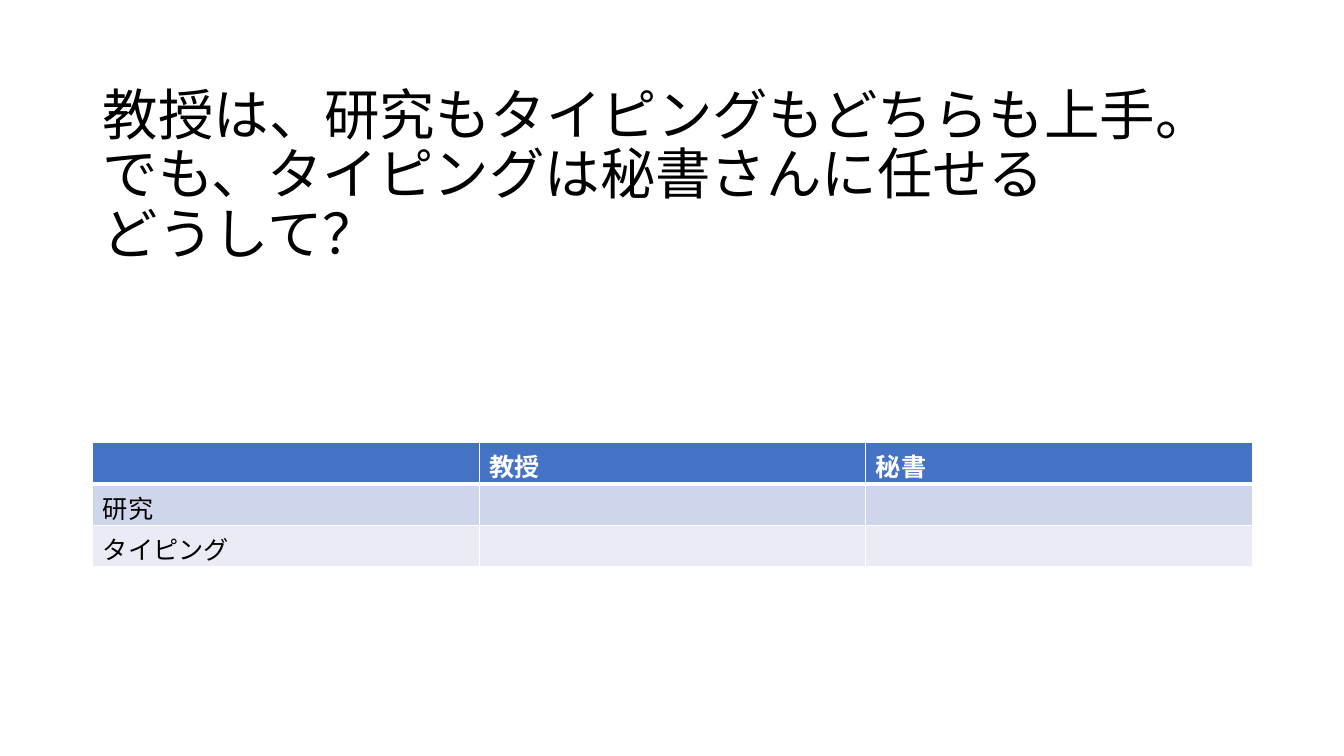
from dataclasses import dataclass

from lxml import etree
from pptx import Presentation
from pptx.dml.color import RGBColor
from pptx.enum.text import MSO_ANCHOR
from pptx.oxml.ns import qn
from pptx.util import Emu, Pt

MIDDLE = MSO_ANCHOR.MIDDLE
EMU_PER_PX = 9144


@dataclass(frozen=True)
class Theme:
    font: str = "Noto Sans CJK JP"
    title_size: float = 39.6
    body_size: float = 18
    black: str = "000000"
    white: str = "FFFFFF"
    header: str = "4472C4"
    band_dark: str = "CFD5EA"
    band_light: str = "E9EBF5"
    rule: float = 1
    header_rule: float = 3


@dataclass(frozen=True)
class Box:
    x: int
    y: int
    w: int
    h: int

    def emu(self) -> tuple:
        return tuple(px(v) for v in (self.x, self.y, self.w, self.h))


@dataclass(frozen=True)
class Row:
    labels: tuple
    fill: str
    color: str
    bold: bool
    top: float
    bottom: float


THEME = Theme()
SLIDE_W, SLIDE_H = 1333, 750
TITLE_BOX = Box(92, 40, 1150, 271)
TABLE_BOX = Box(92, 439, 1150, 123)
TITLE_LINES = (
    "教授は、研究もタイピングもどちらも上手。",
    "でも、タイピングは秘書さんに任せる",
    "どうして？",
)
ROWS = (
    Row(("", "教授", "秘書"), THEME.header, THEME.white, True, THEME.rule, THEME.header_rule),
    Row(("研究", "", ""), THEME.band_dark, THEME.black, False, THEME.header_rule, THEME.rule),
    Row(("タイピング", "", ""), THEME.band_light, THEME.black, False, THEME.rule, THEME.rule),
)


def px(value: int) -> Emu:
    return Emu(value * EMU_PER_PX)


def add_run(p, text: str, size: float, color: str, bold: bool = False) -> None:
    r = p.add_run()
    r.text = text
    for name, value in {"size": Pt(size), "bold": bold, "name": THEME.font}.items():
        setattr(r.font, name, value)
    r.font.color.rgb = RGBColor.from_string(color)
    etree.SubElement(r.font._element, qn("a:ea"), typeface=THEME.font)


def add_title(s, box: Box, lines: tuple) -> None:
    tf = s.shapes.add_textbox(*box.emu()).text_frame
    for name, value in {"word_wrap": True, "vertical_anchor": MIDDLE}.items():
        setattr(tf, name, value)
    p = tf.paragraphs[0]
    p.line_spacing = 0.9
    for i, line in enumerate(lines):
        if i:
            p.add_line_break()
        add_run(p, line, THEME.title_size, THEME.black)


def set_borders(cell, row: Row) -> None:
    tc_pr = cell._tc.get_or_add_tcPr()
    widths = {"L": THEME.rule, "R": THEME.rule, "T": row.top, "B": row.bottom}
    for side, width in widths.items():
        ln = etree.SubElement(tc_pr, qn(f"a:ln{side}"), w=str(Pt(width)))
        fill = etree.SubElement(ln, qn("a:solidFill"))
        etree.SubElement(fill, qn("a:srgbClr"), val=THEME.white)


def add_grid(s, box: Box, rows: tuple) -> None:
    table = s.shapes.add_table(len(rows), len(rows[0].labels), *box.emu()).table
    for i, row in enumerate(rows):
        for j, label in enumerate(row.labels):
            cell = table.cell(i, j)
            set_borders(cell, row)
            cell.fill.solid()
            cell.fill.fore_color.rgb = RGBColor.from_string(row.fill)
            if label:
                p = cell.text_frame.paragraphs[0]
                add_run(p, label, THEME.body_size, row.color, row.bold)


def main() -> None:
    prs = Presentation()
    prs.slide_width, prs.slide_height = px(SLIDE_W), px(SLIDE_H)
    s = prs.slides.add_slide(prs.slide_layouts[6])
    add_title(s, TITLE_BOX, TITLE_LINES)
    add_grid(s, TABLE_BOX, ROWS)
    prs.save("out.pptx")


if __name__ == "__main__":
    main()
